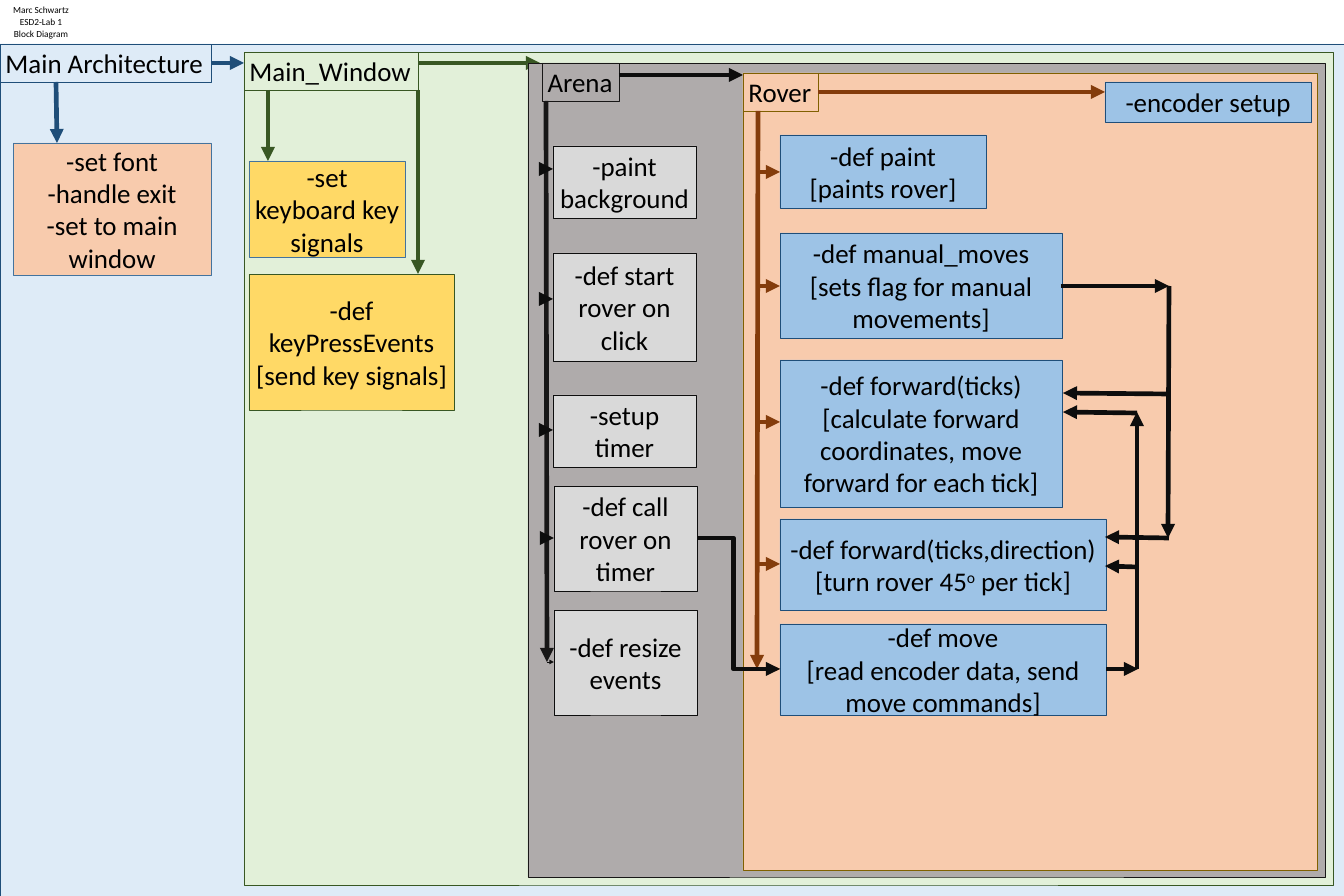
from lxml.etree import SubElement
from pptx import Presentation
from pptx.dml.color import RGBColor as RGB
from pptx.enum.shapes import MSO_CONNECTOR as CONN, MSO_SHAPE as SHAPE
from pptx.enum.text import MSO_ANCHOR as ANCHOR, MSO_AUTO_SIZE as AUTO, PP_ALIGN as ALIGN
from pptx.oxml.ns import qn
from pptx.util import Emu, Pt

FONT, BODY_SIZE = "Calibri", 34.6
COLORS = {
    "text": "000000", "ink": "0D0D0D",
    "pale_blue": "DEEBF7", "navy": "1F4E79", "steel": "43739E",
    "pale_green": "E2F0D9", "green": "385723", "yellow": "FFD966",
    "gray": "AFABAB", "charcoal": "181717", "light_gray": "D9D9D9",
    "peach": "F8CBAD", "olive": "806000", "brown": "843C0B", "blue": "9DC3E6",
}


def px(n):
    return Emu(round(n * 914400 / 56))


def color(name):
    return RGB.from_string(COLORS[name])


def write(tf, lines, size, align, spacing=None):
    """Fill a text frame; text between ^ marks is superscript."""
    for i, line in enumerate(lines):
        p = tf.paragraphs[0] if i == 0 else tf.add_paragraph()
        p.alignment = align
        if spacing:
            p.line_spacing = spacing
            p.space_before = Pt(0)
        for j, text in enumerate(line.split("^")):
            r = p.add_run()
            r.text = text
            r.font.name, r.font.size = FONT, Pt(size)
            r.font.color.rgb = color("text")
            if j % 2:
                r.font._element.set("baseline", "30000")


def add_rect(s, x, y, w, h, fill, line, lines=(), width=1):
    sp = s.shapes.add_shape(SHAPE.RECTANGLE, px(x), px(y), px(w), px(h))
    sp.shadow.inherit = False
    sp.fill.solid()
    sp.fill.fore_color.rgb = color(fill)
    sp.line.color.rgb = color(line)
    sp.line.width = Pt(width)
    sp.text_frame.word_wrap = True
    sp.text_frame.vertical_anchor = ANCHOR.MIDDLE
    write(sp.text_frame, lines, BODY_SIZE, ALIGN.CENTER)
    return sp


def add_arrow(s, x1, y1, x2, y2, line, width=6, bend=None):
    kind = CONN.STRAIGHT if bend is None else CONN.ELBOW
    c = s.shapes.add_connector(kind, px(x1), px(y1), px(x2), px(y2))
    c.line.color.rgb = color(line)
    c.line.width = Pt(width)
    sp_pr = c._element.spPr
    SubElement(sp_pr.find(qn("a:ln")), qn("a:tailEnd"), type="triangle")
    SubElement(sp_pr, qn("a:effectLst"))
    if bend is not None:
        guides = sp_pr.find(qn("a:prstGeom")).find(qn("a:avLst"))
        SubElement(guides, qn("a:gd"), name="adj1", fmla=f"val {round(bend * 100000)}")


def add_region(s, box, fill, line, name, label_w, label_x=0):
    """Draw a panel with its name tag; return drawers relative to the panel."""
    x, y, w, h = box
    add_rect(s, x, y, w, h, fill, line)
    tag = add_rect(s, x + label_x, y, label_w, 38, fill, line, width=0.75)
    tf = tag.text_frame
    tf.word_wrap, tf.vertical_anchor = False, ANCHOR.TOP
    write(tf, [name], BODY_SIZE, ALIGN.LEFT)

    def block(bx, by, bw, bh, *style):
        add_rect(s, x + bx, y + by, bw, bh, *style)

    def arrow(x1, y1, x2, y2, *style):
        add_arrow(s, x + x1, y + y1, x + x2, y + y2, *style)

    return block, arrow


def add_heading(s, x, y, w, h):
    sp = s.shapes.title
    sp.left, sp.top, sp.width, sp.height = px(x), px(y), px(w), px(h)
    tf = sp.text_frame
    tf.word_wrap, tf.auto_size, tf.vertical_anchor = True, AUTO.NONE, ANCHOR.TOP
    write(tf, ["Marc Schwartz", "ESD2-Lab 1", "Block Diagram"], 12, ALIGN.CENTER, 1.1)


def add_architecture(s, x, y, w, h):
    block, arrow = add_region(s, (x, y, w, h), "pale_blue", "navy", "Main Architecture", 211)
    arrow(56, 38, 57, 99, "navy")
    block(13, 99, 198, 132, "peach", "steel",
          ["-set font", "-handle exit", "-set to main window"])
    arrow(211, 19, 244, 19, "navy")
    add_main_window(s, x + 244, y + 8, 1089, 833)


def add_main_window(s, x, y, w, h):
    block, arrow = add_region(s, (x, y, w, h), "pale_green", "green", "Main_Window", 174)
    arrow(24, 38, 24, 109, "green")
    block(5, 109, 156, 96, "yellow", "steel", ["-set keyboard key signals"])
    arrow(174, 38, 174, 222, "green")
    block(5, 222, 205, 136, "yellow", "green", ["-def keyPressEvents", "[send key signals]"])
    arrow(174, 11, 296, 11, "green")
    add_arena(s, x + 284, y + 11, 797, 814)


def add_arena(s, x, y, w, h):
    block, arrow = add_region(s, (x, y, w, h), "gray", "charcoal", "Arena", 77, 14)
    arrow(18, 38, 19, 599, "charcoal")
    arrow(91, 12, 215, 12, "ink")
    add_rover(s, x + 215, y + 10, 574, 797)

    # Methods: left, top, height, arrow level, arrow weight, text
    for left, top, high, level, weight, text in (
        (25, 83, 72, 106, 6, "-paint background"),
        (25, 190, 108, 236, 6, "-def start rover on click"),
        (25, 332, 72, 367, 6, "-setup timer"),
        (26, 423, 105, 475, 6, "-def call rover on timer"),
        (26, 547, 105, 599, 0.5, "-def resize events"),
    ):
        block(left, top, 143, high, "light_gray", "ink", [text])
        arrow(left - 7, level, left, level, "ink", weight)

    # Timer call to rover move
    arrow(169, 475, 252, 606, "ink", 6, 0.44)


def add_rover(s, x, y, w, h):
    block, arrow = add_region(s, (x, y, w, h), "peach", "olive", "Rover", 75)
    arrow(75, 19, 362, 19, "brown")
    block(362, 9, 206, 40, "blue", "navy", ["-encoder setup"])

    # Methods: top, size, arrow level, arrow weight, text
    for top, wide, high, level, weight, lines in (
        (62, 206, 73, 99, 6, ["-def paint", "[paints rover]"]),
        (160, 282, 105, 213, 6, ["-def manual_moves", "[sets flag for manual movements]"]),
        (287, 282, 147, 349, 6, ["-def forward(ticks)",
                                 "[calculate forward coordinates, move forward for each tick]"]),
        (446, 326, 91, 491, 6, ["-def forward(ticks,direction)", "[turn rover 45^o^ per tick]"]),
        (551, 326, 91, 596, 0.5, ["-def move", "[read encoder data, send move commands]"]),
    ):
        block(37, top, wide, high, "blue", "navy", lines)
        arrow(15, level, 37, level, "brown", weight)
    arrow(15, 38, 14, 596, "brown")

    # Calls from manual_moves, then from move
    for ends in (
        (318, 213, 426, 213), (426, 213, 425, 465), (426, 321, 320, 320), (426, 465, 362, 464),
        (363, 596, 395, 596), (394, 596, 394, 339), (394, 494, 362, 493), (394, 340, 320, 339),
    ):
        arrow(*ends, "ink")


def main():
    prs = Presentation()
    prs.slide_width, prs.slide_height = px(1344), px(896)
    s = prs.slides.add_slide(prs.slide_layouts[5])
    add_heading(s, 0, 0, 82, 44)
    add_architecture(s, 0, 44, 1344, 852)
    prs.save("out.pptx")


if __name__ == "__main__":
    main()
